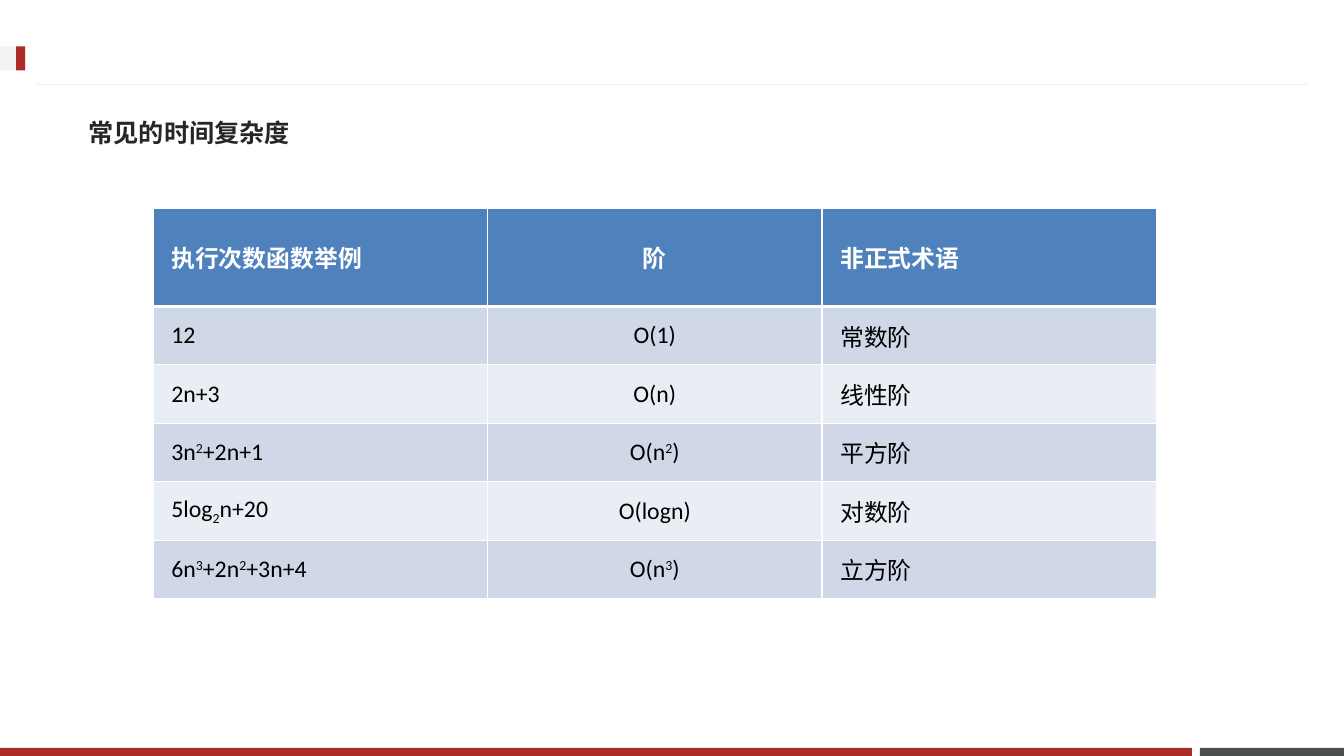
import itertools

import pptx
import pptx.dml.color
import pptx.enum.shapes
import pptx.enum.text
import pptx.oxml.ns
import pptx.util
from lxml import etree

Inches, Pt = pptx.util.Inches, pptx.util.Pt
RGBColor = pptx.dml.color.RGBColor
MIDDLE = pptx.enum.text.MSO_ANCHOR.MIDDLE
LEFT, CENTER = pptx.enum.text.PP_ALIGN.LEFT, pptx.enum.text.PP_ALIGN.CENTER
qn = pptx.oxml.ns.qn

TITLE = "常见的时间复杂度"
COMPLEXITIES = [
    ("执行次数函数举例", "阶", "非正式术语"),
    ("12", "O(1)", "常数阶"),
    ("2n+3", "O(n)", "线性阶"),
    ("3n²+2n+1", "O(n²)", "平方阶"),
    ("5log₂n+20", "O(logn)", "对数阶"),
    ("6n³+2n²+3n+4", "O(n³)", "立方阶"),
]
ALIGNMENTS = (LEFT, CENTER, LEFT)
# Character in the content: digit and baseline shift of its run
SCRIPTS = {"²": ("2", 30000), "³": ("3", 30000), "₂": ("2", -25000)}

WHITE = RGBColor(0xFF, 0xFF, 0xFF)
BLACK = RGBColor(0, 0, 0)
TITLE_INK = RGBColor(0x26, 0x26, 0x26)
RED = RGBColor(0xAD, 0x2B, 0x26)
SLATE = RGBColor(0x49, 0x50, 0x4F)
PALE = RGBColor(0xF2, 0xF2, 0xF2)
HEADER_BLUE = RGBColor(0x4F, 0x81, 0xBD)
BANDS = (RGBColor(0xE9, 0xED, 0xF4), RGBColor(0xD0, 0xD8, 0xE8))

TITLE_FONT, TABLE_FONT = "Noto Sans CJK JP", "Calibri"
TABLE_LEFT, TABLE_TOP = 1.52, 2.07
COLUMN_WIDTH, HEADER_HEIGHT, ROW_HEIGHT = 3.32, 0.97, 0.58

DECORATIONS = [
    (11.91, 7.42, 1.43, 0.08, SLATE),
    (0, 7.42, 11.83, 0.08, RED),
    (0, 0.46, 0.25, 0.24, PALE),
    (0.16, 0.46, 0.09, 0.24, RED),
]


def add_run(paragraph, text, font_name, size, color, bold):
    run = paragraph.add_run()
    run.text = text
    run.font.name = font_name
    run.font.size = Pt(size)
    run.font.bold = bold
    run.font.color.rgb = color
    return run


def add_formula(paragraph, formula, color, bold):
    """Write a formula, with raised and lowered digits as runs of their own."""
    for shift, letters in itertools.groupby(formula, lambda c: SCRIPTS.get(c, (c, 0))[1]):
        text = "".join(SCRIPTS.get(c, (c, 0))[0] for c in letters)
        run = add_run(paragraph, text, TABLE_FONT, 17, color, bold)
        if shift:
            run.font._element.set("baseline", str(shift))


def set_borders(cell, top, bottom):
    """Give a cell white borders; top and bottom are widths in points."""
    properties = cell._tc.get_or_add_tcPr()
    for side, width in (("L", 1), ("R", 1), ("T", top), ("B", bottom)):
        border = etree.SubElement(properties, qn(f"a:ln{side}"), w=str(Pt(width)))
        fill = etree.SubElement(border, qn("a:solidFill"))
        etree.SubElement(fill, qn("a:srgbClr"), val=str(WHITE))


def add_decorations(slide):
    for left, top, width, height, color in DECORATIONS:
        bar = slide.shapes.add_shape(
            pptx.enum.shapes.MSO_SHAPE.RECTANGLE,
            Inches(left), Inches(top), Inches(width), Inches(height))
        bar.shadow.inherit = False
        bar.fill.solid()
        bar.fill.fore_color.rgb = color
        bar.line.fill.background()
    rule = slide.shapes.add_connector(
        pptx.enum.shapes.MSO_CONNECTOR.STRAIGHT,
        Inches(12.98), Inches(0.84), Inches(0.35), Inches(0.84))
    rule.line.color.rgb = PALE
    rule.line.width = Pt(0.75)
    etree.SubElement(rule._element.spPr, qn("a:effectLst"))


def add_title(slide):
    frame = slide.shapes.add_textbox(
        Inches(0.78), Inches(1.03), Inches(11.76), Inches(0.57)).text_frame
    frame.word_wrap = True
    frame.vertical_anchor = MIDDLE
    run = add_run(frame.paragraphs[0], TITLE, TITLE_FONT, 18, TITLE_INK, True)
    etree.SubElement(run.font._element, qn("a:ea"), typeface=TITLE_FONT)


def add_complexity_table(slide):
    row_count, column_count = len(COMPLEXITIES), len(ALIGNMENTS)
    height = HEADER_HEIGHT + ROW_HEIGHT * (row_count - 1)
    table = slide.shapes.add_table(
        row_count, column_count, Inches(TABLE_LEFT), Inches(TABLE_TOP),
        Inches(COLUMN_WIDTH * column_count), Inches(height)).table
    table.first_row = table.horz_banding = False
    for column in table.columns:
        column.width = Inches(COLUMN_WIDTH)
    for r, entries in enumerate(COMPLEXITIES):
        header = r == 0
        table.rows[r].height = Inches(HEADER_HEIGHT if header else ROW_HEIGHT)
        for c, (entry, alignment) in enumerate(zip(entries, ALIGNMENTS)):
            cell = table.cell(r, c)
            set_borders(cell, top=3 if r == 1 else 1, bottom=3 if header else 1)
            cell.fill.solid()
            cell.fill.fore_color.rgb = HEADER_BLUE if header else BANDS[r % 2]
            cell.vertical_anchor = MIDDLE
            cell.margin_left = cell.margin_right = Inches(0.18)
            cell.margin_top = cell.margin_bottom = Inches(0.08)
            paragraph = cell.text_frame.paragraphs[0]
            paragraph.alignment = alignment
            add_formula(paragraph, entry, WHITE if header else BLACK, header)


def main():
    deck = pptx.Presentation()
    deck.slide_width, deck.slide_height = Inches(13.34), Inches(7.5)
    slide = deck.slides.add_slide(deck.slide_layouts[6])
    add_decorations(slide)
    add_complexity_table(slide)
    add_title(slide)
    deck.save("out.pptx")


if __name__ == "__main__":
    main()
